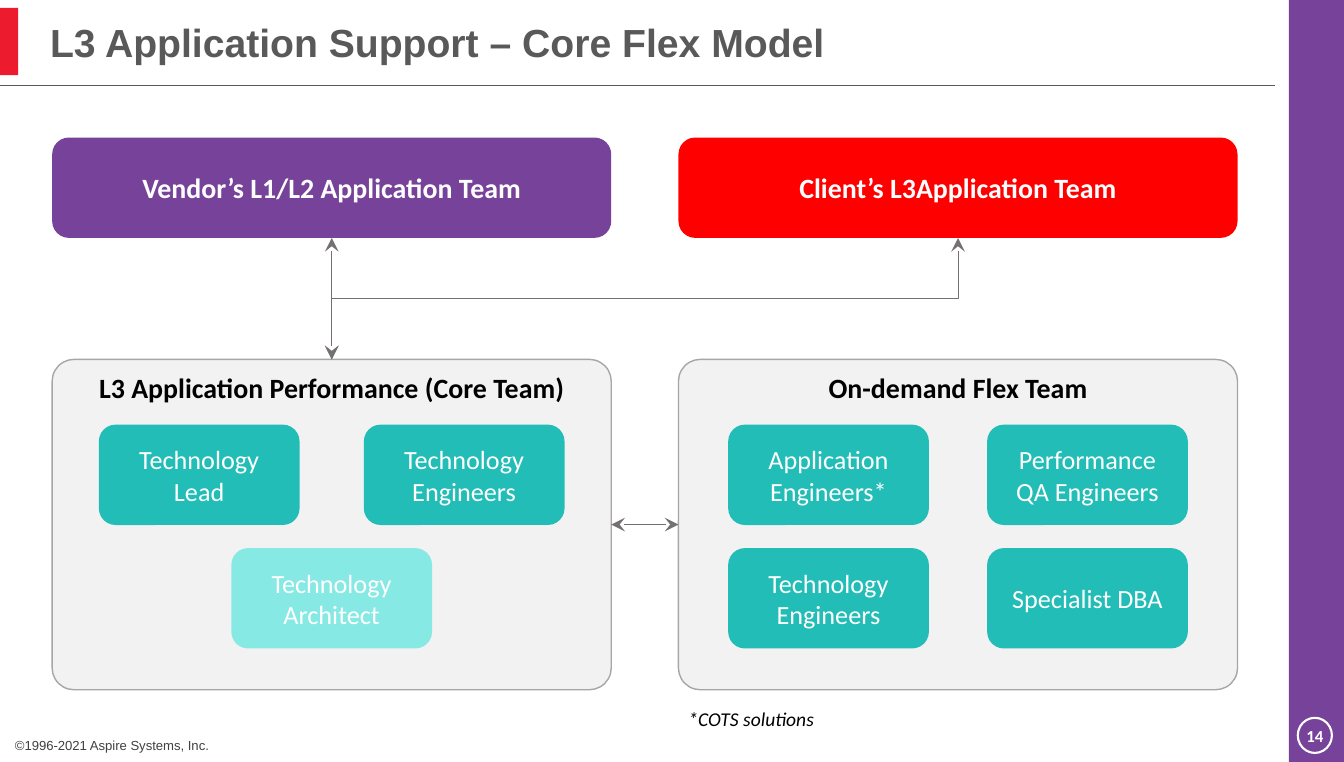
"""Build the core flex model slide for L3 application support."""
from lxml import etree
from pptx import Presentation
from pptx.dml.color import RGBColor
from pptx.enum.shapes import MSO_CONNECTOR, MSO_SHAPE
from pptx.enum.text import MSO_ANCHOR, PP_ALIGN
from pptx.oxml.ns import qn
from pptx.util import Inches, Pt

RECTANGLE, ROUNDED, OVAL = MSO_SHAPE.RECTANGLE, MSO_SHAPE.ROUNDED_RECTANGLE, MSO_SHAPE.OVAL
STRAIGHT, ELBOW = MSO_CONNECTOR.STRAIGHT, MSO_CONNECTOR.ELBOW
TOP, MIDDLE = MSO_ANCHOR.TOP, MSO_ANCHOR.MIDDLE
LEFT, CENTER = PP_ALIGN.LEFT, PP_ALIGN.CENTER
TOP_SITE, LEFT_SITE, BOTTOM_SITE, RIGHT_SITE = range(4)

WHITE = RGBColor(0xFF, 0xFF, 0xFF)
BLACK = RGBColor(0x00, 0x00, 0x00)
PURPLE = RGBColor(0x77, 0x43, 0x9A)
RED = RGBColor(0xFF, 0x00, 0x00)
ACCENT_RED = RGBColor(0xEC, 0x1B, 0x2E)
TEAL = RGBColor(0x22, 0xBD, 0xB6)
LIGHT_TEAL = RGBColor(0x87, 0xE9, 0xE4)
PANEL_GRAY = RGBColor(0xF2, 0xF2, 0xF2)
BORDER_GRAY = RGBColor(0xA6, 0xA6, 0xA6)
ARROW_GRAY = RGBColor(0x76, 0x71, 0x71)
TITLE_GRAY = RGBColor(0x59, 0x59, 0x59)
FOOTER_GRAY = RGBColor(0x40, 0x40, 0x40)

SLIDE_WIDTH, SLIDE_HEIGHT = 13.39, 7.59
SIDEBAR_WIDTH = 0.55
COLUMN_LEFT, COLUMN_WIDTH, COLUMN_PITCH = 0.52, 5.57, 6.24
TEAM_TOP, TEAM_HEIGHT = 1.37, 1.0
PANEL_TOP, PANEL_HEIGHT = 3.58, 3.29
ROLE_TOP, ROLE_PITCH, ROLE_WIDTH, ROLE_HEIGHT = 4.23, 1.23, 2.0, 1.0

TEAMS = [("Vendor’s L1/L2 Application Team", PURPLE), ("Client’s L3Application Team", RED)]
PANELS = ["L3 Application Performance (Core Team)", "On-demand Flex Team"]
ROLES = [
    ("Technology Lead", 0, -1.32, 0, TEAL),
    ("Technology Engineers", 0, 1.32, 0, TEAL),
    ("Technology Architect", 0, 0, 1, LIGHT_TEAL),
    ("Application Engineers*", 1, -1.29, 0, TEAL),
    ("Performance QA Engineers", 1, 1.29, 0, TEAL),
    ("Technology Engineers", 1, -1.29, 1, TEAL),
    ("Specialist DBA", 1, 1.29, 1, TEAL),
]


def column_left(column):
    """Return the left edge of a column."""
    return COLUMN_LEFT + column * COLUMN_PITCH


def column_center(column):
    """Return the centre of a column."""
    return column_left(column) + COLUMN_WIDTH / 2


def write_text(shape, text, size, color, bold=False, italic=False,
               font_name="Calibri", align=CENTER, anchor=MIDDLE):
    """Write one styled paragraph into a shape."""
    frame = shape.text_frame
    frame.word_wrap = True
    frame.vertical_anchor = anchor
    paragraph = frame.paragraphs[0]
    paragraph.text = text
    paragraph.alignment = align
    font = paragraph.font
    font.name, font.size, font.bold, font.italic = font_name, Pt(size), bold, italic
    font.color.rgb = color


def add_block(slide, kind, left, top, width, height, fill=None, line=None, line_width=1):
    """Add a flat preset shape."""
    shape = slide.shapes.add_shape(kind, *map(Inches, (left, top, width, height)))
    shape.shadow.inherit = False
    if fill is None:
        shape.fill.background()
    else:
        shape.fill.solid()
        shape.fill.fore_color.rgb = fill
    if line is None:
        shape.line.fill.background()
    else:
        shape.line.color.rgb = line
        shape.line.width = Pt(line_width)
    return shape


def add_label(slide, left, top, width, height, text, size, color, **style):
    """Add a left-aligned text box."""
    box = slide.shapes.add_textbox(*map(Inches, (left, top, width, height)))
    write_text(box, text, size, color, align=LEFT, **style)


def add_line(slide, kind, start, end, color, arrows=True):
    """Add a thin connector, with arrowheads at both ends if wanted."""
    connector = slide.shapes.add_connector(kind, *map(Inches, (*start, *end)))
    connector.line.color.rgb = color
    connector.line.width = Pt(0.5)
    if arrows:
        outline = connector.line._get_or_add_ln()
        for end_tag in ("a:headEnd", "a:tailEnd"):
            etree.SubElement(outline, qn(end_tag), type="stealth", w="lg", len="lg")
    etree.SubElement(connector._element.spPr, qn("a:effectLst"))
    return connector


def add_glued_arrow(slide, first, first_site, second, second_site):
    """Join two shapes with a straight double arrow."""
    arrow = add_line(slide, STRAIGHT, (0, 0), (1, 1), ARROW_GRAY)
    arrow.begin_connect(first, first_site)
    arrow.end_connect(second, second_site)


def add_vertical_elbow(slide, start, end):
    """Add an elbow double arrow that runs down, left and down again."""
    drop, span = end[1] - start[1], start[0] - end[0]
    left = (start[0] + end[0] - drop) / 2
    top = (start[1] + end[1] - span) / 2
    elbow = add_line(slide, ELBOW, (left, top), (left + drop, top + span), ARROW_GRAY)
    elbow._element.spPr.find(qn("a:xfrm")).set("rot", str(90 * 60000))


def add_frame(slide):
    """Add the title, rule, side bar, page number and footer."""
    sidebar_left = SLIDE_WIDTH - SIDEBAR_WIDTH
    add_block(slide, RECTANGLE, sidebar_left, 0, SIDEBAR_WIDTH, SLIDE_HEIGHT, PURPLE)
    badge = add_block(slide, OVAL, 12.93, 7.15, 0.34, 0.35, line=WHITE, line_width=1.5)
    write_text(badge, "14", 12.1, WHITE, bold=True)
    frame = badge.text_frame
    frame.margin_left = frame.margin_right = frame.margin_top = frame.margin_bottom = 0
    frame.word_wrap = False
    add_block(slide, RECTANGLE, 0, 0.08, 0.18, 0.67, ACCENT_RED)
    add_line(slide, STRAIGHT, (0, 0.85), (12.7, 0.85), TITLE_GRAY, arrows=False)
    add_label(slide, 0.4, 0.14, 10.55, 0.55, "L3 Application Support – Core Flex Model",
              28.1, TITLE_GRAY, bold=True, font_name="Arial")
    add_label(slide, 0.05, 7.29, 2.78, 0.26, "©1996-2021 Aspire Systems, Inc.",
              9.4, FOOTER_GRAY, font_name="Arial")


def add_team(slide, column, name, color):
    """Add a team box at the top of a column."""
    team = add_block(slide, ROUNDED, column_left(column), TEAM_TOP,
                     COLUMN_WIDTH, TEAM_HEIGHT, color)
    write_text(team, name, 20, WHITE, bold=True)
    return team


def add_panel(slide, column, heading):
    """Add a headed panel at the bottom of a column."""
    panel = add_block(slide, ROUNDED, column_left(column), PANEL_TOP,
                      COLUMN_WIDTH, PANEL_HEIGHT, PANEL_GRAY, BORDER_GRAY)
    panel.adjustments[0] = 0.066
    write_text(panel, heading, 20, BLACK, bold=True, anchor=TOP)
    return panel


def add_role(slide, name, column, offset, row, color):
    """Add a role box, offset from the centre of its panel."""
    left = column_center(column) + offset - ROLE_WIDTH / 2
    role = add_block(slide, ROUNDED, left, ROLE_TOP + row * ROLE_PITCH,
                     ROLE_WIDTH, ROLE_HEIGHT, color)
    write_text(role, name, 18.8, WHITE)


def main():
    """Build and save the slide."""
    presentation = Presentation()
    presentation.slide_width = Inches(SLIDE_WIDTH)
    presentation.slide_height = Inches(SLIDE_HEIGHT)
    slide = presentation.slides.add_slide(presentation.slide_layouts[6])
    add_frame(slide)
    teams = [add_team(slide, column, *team) for column, team in enumerate(TEAMS)]
    core, flex = [add_panel(slide, column, heading) for column, heading in enumerate(PANELS)]
    for role in ROLES:
        add_role(slide, *role)
    add_glued_arrow(slide, teams[0], BOTTOM_SITE, core, TOP_SITE)
    add_glued_arrow(slide, core, RIGHT_SITE, flex, LEFT_SITE)
    add_vertical_elbow(slide, (column_center(1), TEAM_TOP + TEAM_HEIGHT),
                       (column_center(0), PANEL_TOP))
    add_label(slide, column_left(1), 6.99, 2, 0.34, "*COTS solutions", 14, BLACK, italic=True)
    presentation.save("out.pptx")


if __name__ == "__main__":
    main()
